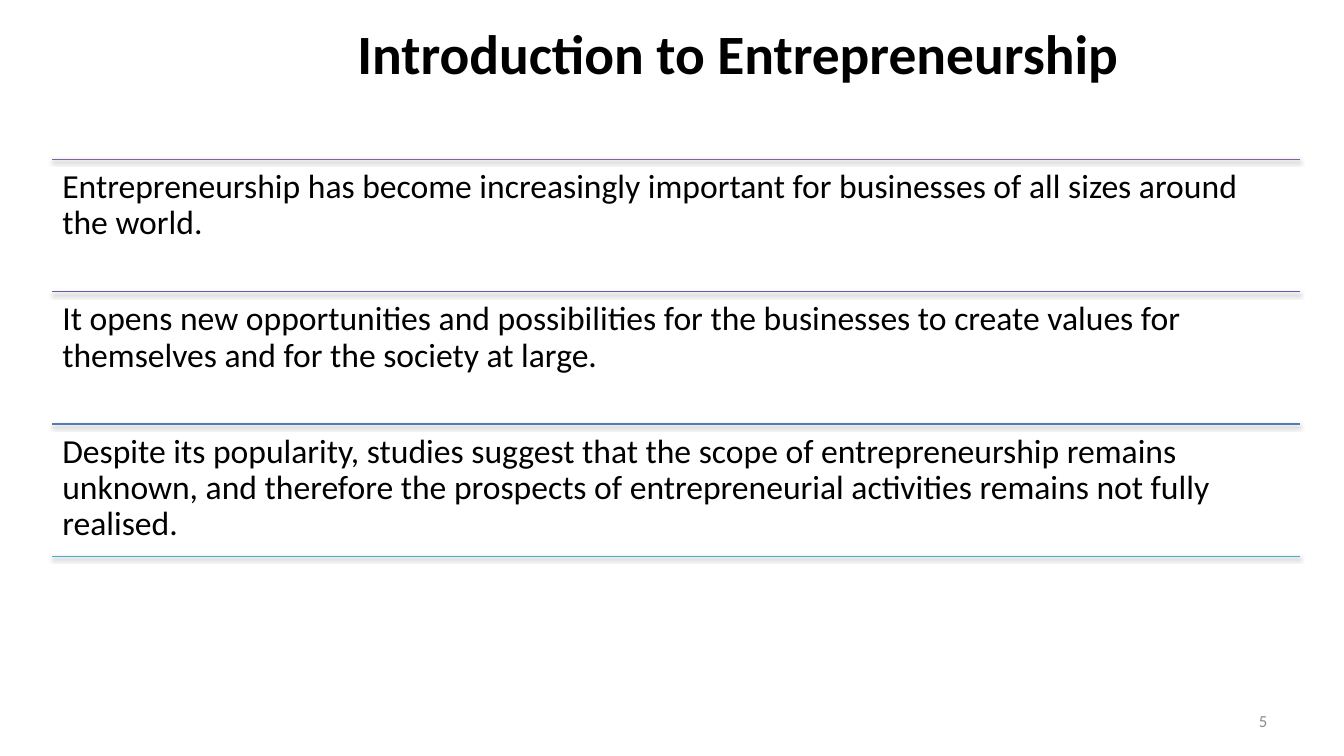
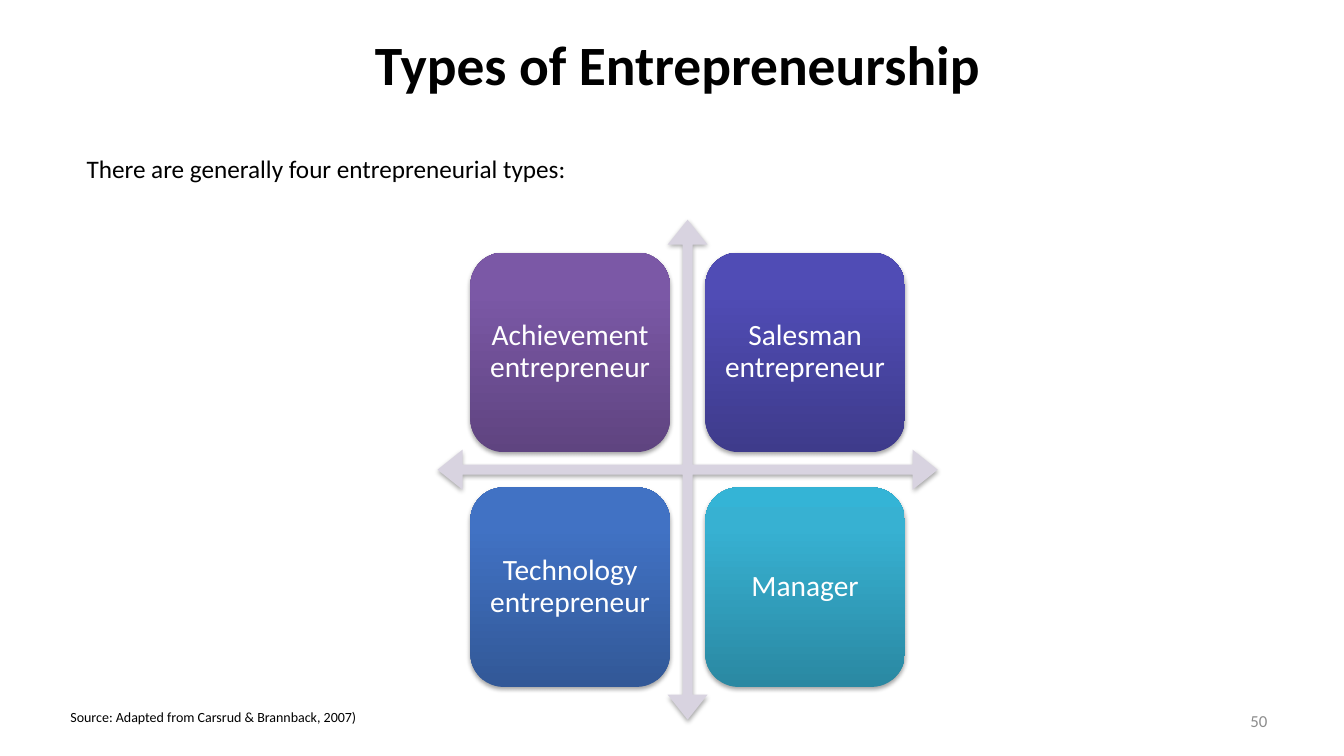
from copy import deepcopy

from pptx import Presentation
from pptx.dml.color import RGBColor
from pptx.enum import shapes, text
from pptx.oxml import parse_xml
from pptx.oxml.ns import nsdecls, qn
from pptx.util import Inches, Pt

FONT = "Calibri"
BLACK = RGBColor(0x00, 0x00, 0x00)
WHITE = RGBColor(0xFF, 0xFF, 0xFF)
GREY = RGBColor(0x8C, 0x8C, 0x8C)
AXES = RGBColor(0xD8, 0xD3, 0xE0)
RULES = [RGBColor.from_string(code) for code in ("8064A2", "5F5BAE", "537ABA", "4BACC6")]

STATEMENTS = [
    "Entrepreneurship has become increasingly important for businesses of all sizes around the world.",
    "It opens new opportunities and possibilities for the businesses to create values for "
    "themselves and for the society at large.",
    "Despite its popularity, studies suggest that the scope of entrepreneurship remains unknown, "
    "and therefore the prospects of entrepreneurial activities remains not fully realised.",
]
TYPES = [
    ("Achievement entrepreneur", ("5F4480", "7B58A6", "7C57A8")),
    ("Salesman entrepreneur", ("3E3B8B", "504CB5", "4F4BB8")),
    ("Technology entrepreneur", ("325897", "4172C4", "3F72C7")),
    ("Manager", ("2A88A2", "37B1D2", "34B4D6")),
]
GRADIENT_POSITIONS = (0, 0.8, 1)

ROWS_LEFT, ROWS_RIGHT = 0.52, 12.89
ROWS_TOP, ROWS_BOTTOM = 1.58, 5.52
MATRIX_LEFT, MATRIX_TOP, MATRIX_SIZE = 4.34, 2.18, 4.96
TILE_SIZE, TILE_PITCH, TILE_MARGIN = 1.98, 2.33, 0.325

ALIGN = text.PP_ALIGN
ANCHOR = text.MSO_ANCHOR


def inches(*lengths):
    return [Inches(length) for length in lengths]


def write(frame, content, size, color=BLACK, align=ALIGN.LEFT, anchor=ANCHOR.TOP, bold=False):
    frame.text = content
    frame.word_wrap = True
    frame.auto_size = text.MSO_AUTO_SIZE.NONE
    frame.vertical_anchor = anchor
    paragraph = frame.paragraphs[0]
    paragraph.alignment = align
    font = paragraph.font
    font.name, font.size, font.bold = FONT, Pt(size), bold
    font.color.rgb = color


def set_insets(frame, inset):
    frame.margin_left = frame.margin_right = Inches(inset)
    frame.margin_top = frame.margin_bottom = Inches(inset)


def add_text(slide, box, content, size, **style):
    frame = slide.shapes.add_textbox(*inches(*box)).text_frame
    write(frame, content, size, **style)
    return frame


def add_slide(deck, title, left, top, number):
    slide = deck.slides.add_slide(deck.slide_layouts[5])
    heading = slide.shapes.title
    heading.left, heading.top, heading.width, heading.height = inches(left, top, 9.92, 0.81)
    write(heading.text_frame, title, 39.6, align=ALIGN.CENTER, anchor=ANCHOR.MIDDLE, bold=True)
    add_text(slide, (9.56, 6.95, 3.11, 0.4), number, 12,
             color=GREY, align=ALIGN.RIGHT, anchor=ANCHOR.MIDDLE)
    return slide


def soft_shadow(shape):
    shape.element.spPr.append(parse_xml(
        f'<a:effectLst {nsdecls("a")}>'
        '<a:outerShdw blurRad="40000" dist="23000" dir="5400000" rotWithShape="0">'
        '<a:srgbClr val="000000"><a:alpha val="35000"/></a:srgbClr>'
        '</a:outerShdw></a:effectLst>'))


def fill_gradient(shape, codes):
    fill = shape.fill
    fill.gradient()
    fill.gradient_angle = 90
    stop_list = shape.element.spPr.find(".//" + qn("a:gsLst"))
    stop_list.append(deepcopy(stop_list[-1]))
    for stop, position, code in zip(fill.gradient_stops, GRADIENT_POSITIONS, codes):
        stop.position = position
        stop.color.rgb = RGBColor.from_string(code)


def build_introduction(deck):
    slide = add_slide(deck, "Introduction to Entrepreneurship", 2.36, 0.11, "5")
    pitch = (ROWS_BOTTOM - ROWS_TOP) / len(STATEMENTS)
    for index, color in enumerate(RULES):
        y = ROWS_TOP + index * pitch
        rule = slide.shapes.add_connector(
            shapes.MSO_CONNECTOR.STRAIGHT, *inches(ROWS_LEFT, y, ROWS_RIGHT, y))
        rule.line.color.rgb = color
        rule.line.width = Pt(0.75)
        soft_shadow(rule)
    for index, statement in enumerate(STATEMENTS):
        box = (ROWS_LEFT, ROWS_TOP + index * pitch, ROWS_RIGHT - ROWS_LEFT, pitch)
        frame = add_text(slide, box, statement, 24)
        set_insets(frame, 0.1)
        frame.paragraphs[0].line_spacing = 0.9


def build_types(deck):
    slide = add_slide(deck, "Types of Entrepreneurship", 1.76, 0.22, "50")
    axes = slide.shapes.add_shape(
        shapes.MSO_SHAPE.QUAD_ARROW, *inches(MATRIX_LEFT, MATRIX_TOP, MATRIX_SIZE, MATRIX_SIZE))
    for index, value in enumerate((0.02, 0.04, 0.05)):
        axes.adjustments[index] = value
    axes.fill.solid()
    axes.fill.fore_color.rgb = AXES
    axes.line.fill.background()
    soft_shadow(axes)

    for index, (label, codes) in enumerate(TYPES):
        row, column = divmod(index, 2)
        left = MATRIX_LEFT + TILE_MARGIN + column * TILE_PITCH
        top = MATRIX_TOP + TILE_MARGIN + row * TILE_PITCH
        tile = slide.shapes.add_shape(
            shapes.MSO_SHAPE.ROUNDED_RECTANGLE, *inches(left, top, TILE_SIZE, TILE_SIZE))
        fill_gradient(tile, codes)
        tile.line.fill.background()
        soft_shadow(tile)
        write(tile.text_frame, label, 21, color=WHITE, align=ALIGN.CENTER, anchor=ANCHOR.MIDDLE)
        set_insets(tile.text_frame, 0.08)
        tile.text_frame.paragraphs[0].line_spacing = 0.9

    add_text(slide, (0.76, 1.47, 5.01, 0.4), "There are generally four entrepreneurial types:", 18)
    add_text(slide, (0.6, 6.98, 3.12, 0.27), "Source: Adapted from Carsrud & Brannback, 2007)", 10)


def main():
    deck = Presentation()
    deck.slide_width, deck.slide_height = inches(13.33, 7.5)
    build_introduction(deck)
    build_types(deck)
    deck.save("out.pptx")


if __name__ == "__main__":
    main()
